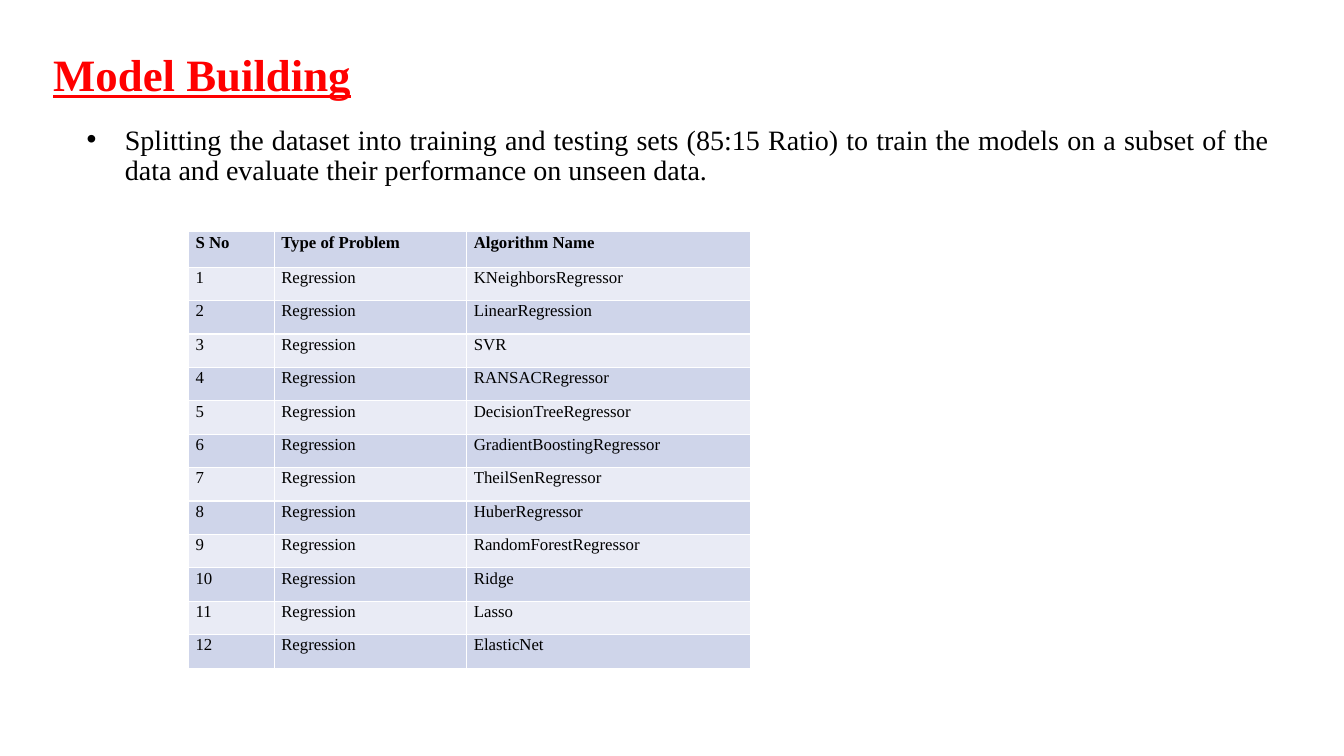
import pptx
import pptx.util
import pptx.dml.color
import pptx.enum.text
import pptx.oxml
import pptx.oxml.ns

Inches = pptx.util.Inches
Pt = pptx.util.Pt

COLORS = {
    "title": "FF0000",
    "text": "000000",
    "dark_band": "CFD5EA",
    "light_band": "E9EBF5",
    "border": "FFFFFF",
}
FONT = "Times New Roman"
TITLE_FORMAT = {"name": FONT, "size": Pt(32), "bold": True, "underline": True}
BODY_FORMAT = {"name": FONT, "size": Pt(20)}
HEADER_FORMAT = {"name": FONT, "size": Pt(12), "bold": True}
CELL_FORMAT = {"name": FONT, "size": Pt(12), "bold": False}
CELL_MARGINS = {
    "margin_left": Inches(0.07),
    "margin_right": Inches(0.07),
    "margin_top": 0,
    "margin_bottom": 0,
}
COLUMN_WIDTHS = [0.85, 1.91, 2.81]
HEADER_HEIGHT = 0.35
HEADERS = ["S No", "Type of Problem", "Algorithm Name"]
ALGORITHMS = [
    "KNeighborsRegressor",
    "LinearRegression",
    "SVR",
    "RANSACRegressor",
    "DecisionTreeRegressor",
    "GradientBoostingRegressor",
    "TheilSenRegressor",
    "HuberRegressor",
    "RandomForestRegressor",
    "Ridge",
    "Lasso",
    "ElasticNet",
]


def rgb(name):
    return pptx.dml.color.RGBColor.from_string(COLORS[name])


def set_attributes(target, values):
    for name, value in values.items():
        setattr(target, name, value)


def write_text(paragraph, text, font_format, color, paragraph_format):
    run = paragraph.add_run()
    run.text = text
    set_attributes(run.font, font_format)
    run.font.color.rgb = rgb(color)
    set_attributes(paragraph, paragraph_format)


def add_text_frame(slide, box, anchor):
    shape = slide.shapes.add_textbox(*map(Inches, box))
    set_attributes(shape.text_frame, {"word_wrap": True, "vertical_anchor": anchor})
    return shape.text_frame


def add_title(slide, box):
    frame = add_text_frame(slide, box, pptx.enum.text.MSO_ANCHOR.MIDDLE)
    write_text(frame.paragraphs[0], "Model Building", TITLE_FORMAT, "title",
               {"line_spacing": 0.9})


def add_bullet_text(slide, box):
    frame = add_text_frame(slide, box, pptx.enum.text.MSO_ANCHOR.TOP)
    paragraph = frame.paragraphs[0]
    write_text(
        paragraph,
        "Splitting the dataset into training and testing sets (85:15 Ratio) to train "
        "the models on a subset of the data and evaluate their performance on unseen data.",
        BODY_FORMAT, "text",
        {"line_spacing": 0.9, "space_before": Pt(10),
         "alignment": pptx.enum.text.PP_ALIGN.JUSTIFY},
    )
    properties = paragraph._p.get_or_add_pPr()
    properties.set("marL", str(Inches(0.5)))
    properties.set("indent", str(Inches(-0.38)))
    namespace = pptx.oxml.ns.nsdecls("a")
    for bullet in ('<a:buFont {} typeface="Arial"/>', '<a:buChar {} char="•"/>'):
        properties.append(pptx.oxml.parse_xml(bullet.format(namespace)))


def add_borders(cell):
    properties = cell._tc.get_or_add_tcPr()
    for side in ("lnL", "lnR", "lnT", "lnB"):
        properties.append(pptx.oxml.parse_xml(
            f'<a:{side} {pptx.oxml.ns.nsdecls("a")} w="{Pt(1)}"><a:solidFill>'
            f'<a:srgbClr val="{COLORS["border"]}"/></a:solidFill></a:{side}>'))


def add_algorithm_table(slide, box):
    rows = [HEADERS] + [
        [str(number), "Regression", algorithm]
        for number, algorithm in enumerate(ALGORITHMS, 1)
    ]
    shape = slide.shapes.add_table(len(rows), len(HEADERS), *map(Inches, box))
    table = shape.table
    set_attributes(table, {"first_row": False, "horz_banding": False})
    for column, width in zip(table.columns, COLUMN_WIDTHS):
        column.width = Inches(width)
    row_height = (box[3] - HEADER_HEIGHT) / len(ALGORITHMS)
    for row_index, values in enumerate(rows):
        is_header = row_index == 0
        table.rows[row_index].height = Inches(HEADER_HEIGHT if is_header else row_height)
        for column_index, value in enumerate(values):
            cell = table.cell(row_index, column_index)
            set_attributes(cell, CELL_MARGINS)
            add_borders(cell)
            cell.fill.solid()
            cell.fill.fore_color.rgb = rgb("light_band" if row_index % 2 else "dark_band")
            write_text(cell.text_frame.paragraphs[0], value,
                       HEADER_FORMAT if is_header else CELL_FORMAT, "text",
                       {"line_spacing": 1.07, "space_after": Pt(8)})


def main():
    presentation = pptx.Presentation()
    presentation.slide_width = Inches(13.33)
    presentation.slide_height = Inches(7.5)
    slide = presentation.slides.add_slide(presentation.slide_layouts[6])
    add_title(slide, (0.43, 0.51, 11.5, 0.51))
    add_bullet_text(slide, (0.64, 1.2, 12.05, 0.91))
    add_algorithm_table(slide, (1.87, 2.3, sum(COLUMN_WIDTHS), 4.33))
    presentation.save("out.pptx")


if __name__ == "__main__":
    main()
